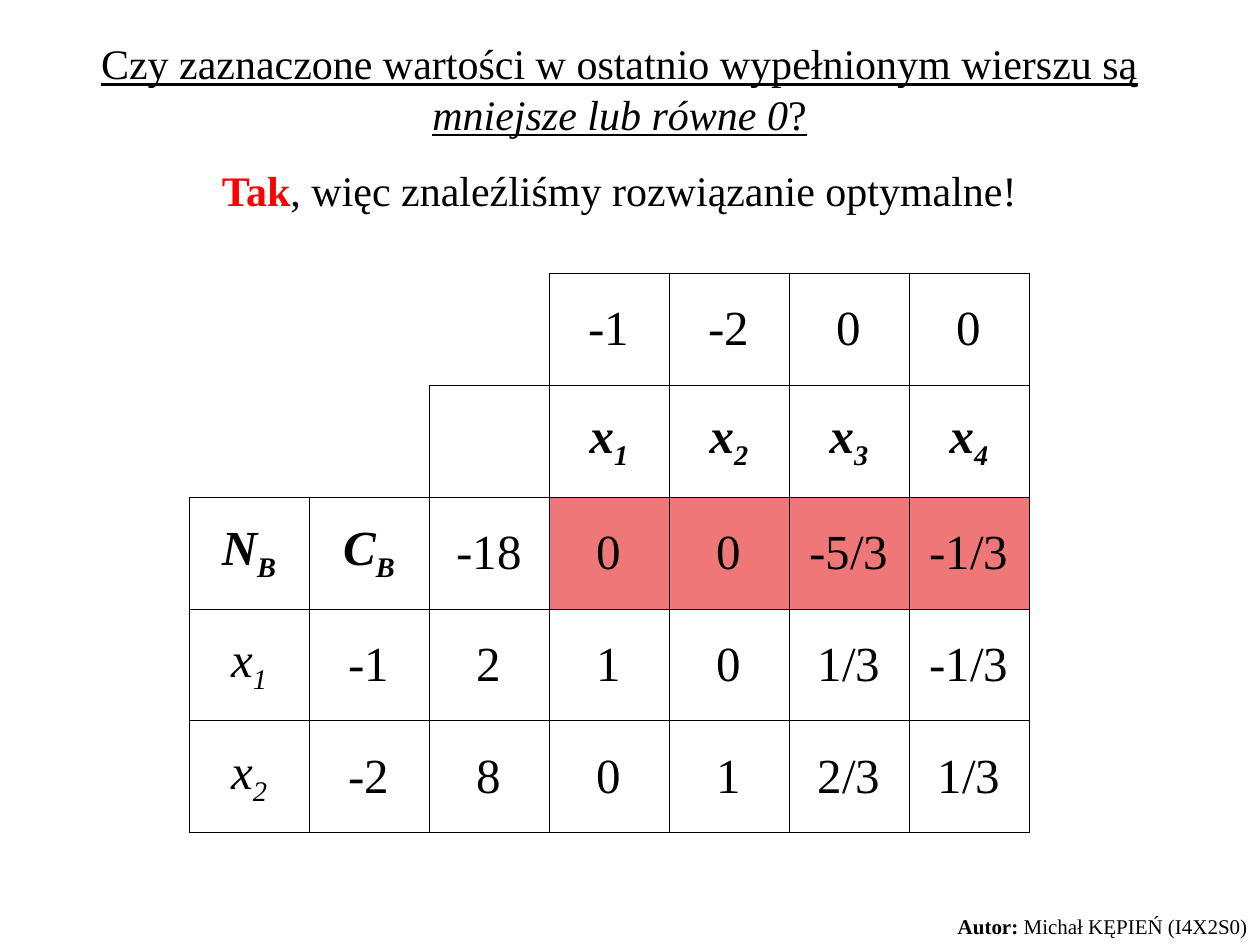
from lxml import etree
from pptx import Presentation
from pptx.dml.color import RGBColor
from pptx.enum.text import MSO_ANCHOR, MSO_AUTO_SIZE, PP_ALIGN
from pptx.oxml.ns import qn
from pptx.util import Pt

CENTER, RIGHT = PP_ALIGN.CENTER, PP_ALIGN.RIGHT
MIDDLE = MSO_ANCHOR.MIDDLE
GROW = MSO_AUTO_SIZE.SHAPE_TO_FIT_TEXT
BLACK = RGBColor(0, 0, 0)
RED = RGBColor(255, 0, 0)
ROSE = RGBColor(239, 119, 119)

BOLD = {"bold": True}
ITALIC = {"italic": True}
BOLD_ITALIC = {**BOLD, **ITALIC}
UNDERLINE = {"underline": True}

TITLE = [
    [("Czy zaznaczone wartości w ostatnio wypełnionym wierszu są ", UNDERLINE),
     ("mniejsze lub równe 0", {**UNDERLINE, **ITALIC}), ("?", UNDERLINE)],
    [("Tak", {**BOLD, "color": RED}),
     (", więc znaleźliśmy rozwiązanie optymalne!", {})],
]
AUTHOR = [[("Autor:", BOLD), (" Michał KĘPIEŃ (I4X2S0)", {})]]
TABLEAU = [
    ["", "", "", "-1", "-2", "0", "0"],
    ["", "", "", "x_1", "x_2", "x_3", "x_4"],
    ["N_B", "C_B", "-18", "0", "0", "-5/3", "-1/3"],
    ["x_1", "-1", "2", "1", "0", "1/3", "-1/3"],
    ["x_2", "-2", "8", "0", "1", "2/3", "1/3"],
]
FIRST_COLUMN = [3, 2, 0, 0, 0]
HEADER_ROWS = 3
MARKED_ROW, MARKED_COLUMN = 2, 3


class SlideBuilder:
    font = "Times New Roman"
    line_width = 0.45

    def __init__(self, prs):
        self.s = prs.slides.add_slide(prs.slide_layouts[6])

    def runs(self, p, parts, size):
        for text, formats in parts:
            r = p.add_run()
            r.text = text
            values = {"name": self.font, "size": Pt(size), **formats}
            r.font.color.rgb = values.pop("color", BLACK)
            baseline = values.pop("baseline", None)
            for name, value in values.items():
                setattr(r.font, name, value)
            if baseline:
                r.font._element.set("baseline", baseline)

    def text(self, box, paragraphs, size, align, gap=0):
        sp = self.s.shapes.add_textbox(*map(Pt, box))
        tf = sp.text_frame
        tf.word_wrap = True
        tf.auto_size = GROW
        for i, parts in enumerate(paragraphs):
            p = tf.add_paragraph() if i else tf.paragraphs[0]
            p.alignment = align
            if i:
                p.space_before = Pt(gap)
            self.runs(p, parts, size)

    def border(self, cell, side, visible):
        ln = etree.SubElement(cell._tc.get_or_add_tcPr(), qn(f"a:ln{side}"))
        ln.set("w", str(Pt(self.line_width)))
        if visible:
            fill = etree.SubElement(ln, qn("a:solidFill"))
            etree.SubElement(fill, qn("a:srgbClr")).set("val", str(BLACK))
        else:
            etree.SubElement(ln, qn("a:noFill"))

    def table(self, box, rows, size):
        n_rows, n_cols = len(rows), len(rows[0])
        table = self.s.shapes.add_table(n_rows, n_cols, *map(Pt, box)).table
        table.first_row = table.horz_banding = False

        def in_grid(row, col):
            return 0 <= row < n_rows and FIRST_COLUMN[row] <= col < n_cols

        for row, values in enumerate(rows):
            for col, value in enumerate(values):
                cell = table.cell(row, col)
                neighbours = {"L": (row, col - 1), "R": (row, col + 1),
                              "T": (row - 1, col), "B": (row + 1, col)}
                for side, place in neighbours.items():
                    self.border(cell, side, in_grid(row, col) or in_grid(*place))
                if row == MARKED_ROW and col >= MARKED_COLUMN:
                    cell.fill.solid()
                    cell.fill.fore_color.rgb = ROSE
                else:
                    cell.fill.background()
                cell.vertical_anchor = MIDDLE
                p = cell.text_frame.paragraphs[0]
                p.alignment = CENTER
                if value:
                    self.runs(p, self.symbol(value, row), size)

    def symbol(self, value, row):
        base, _, index = value.partition("_")
        if not index:
            return [(base, {})]
        formats = BOLD_ITALIC if row < HEADER_ROWS else ITALIC
        return [(base, formats), (index, {**formats, "baseline": "-25000"})]


def main():
    prs = Presentation()
    prs.slide_width, prs.slide_height = Pt(720), Pt(540)
    slide = SlideBuilder(prs)
    slide.text((18, 18, 672, 108.5), TITLE, 24, CENTER, gap=15)
    slide.table((108, 156, 480, 320), TABLEAU, 28)
    slide.text((528, 518.4, 192, 21.6), AUTHOR, 12, RIGHT)
    prs.save("out.pptx")


if __name__ == "__main__":
    main()
